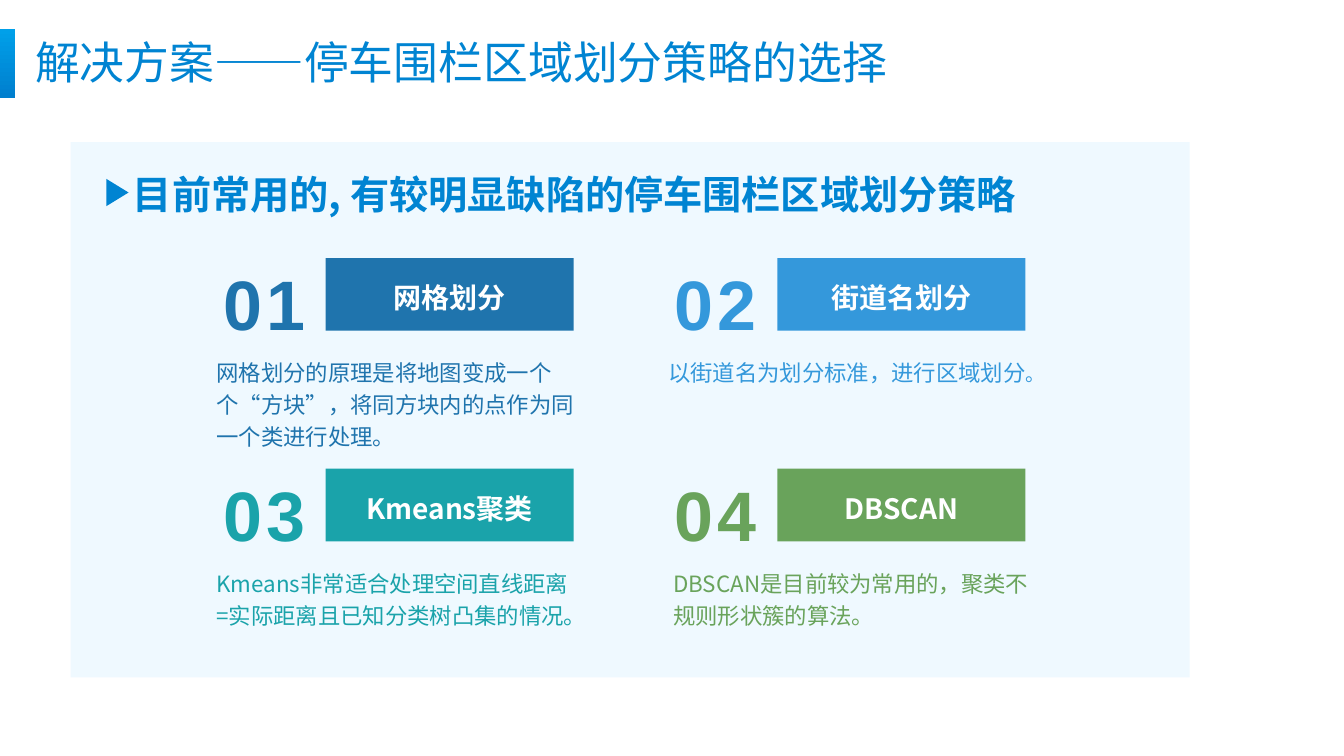
from dataclasses import dataclass
from lxml.etree import SubElement
from pptx import Presentation
from pptx.dml.color import RGBColor
from pptx.enum.shapes import MSO_SHAPE
from pptx.enum.text import MSO_ANCHOR, MSO_AUTO_SIZE, PP_ALIGN
from pptx.oxml.ns import qn
from pptx.util import Pt

SCALE = 9144


@dataclass(frozen=True)
class Theme:
    sans: str = "Noto Sans CJK SC"
    digit: str = "Arial"
    main: str = "0084D2"
    panel: str = "EFF9FF"
    white: str = "FFFFFF"
    fade: tuple = ("00A0E9", "007FCE")
    tints: tuple = ("1F74AD", "3498DB", "1AA3AA", "69A35B")
    title: int = 32
    head: int = 28
    label: int = 20
    number: int = 50
    note: int = 16
    stop: int = 14


THEME = Theme()
LEFT, TOP = 205, 256
STEP, PITCH = 448, 209
CARDS = (
    ("网格划分", "网格划分的原理是将地图变成一个个“方块”，将同方块内的点作为同一个类进行处理。", 0, 382),
    ("街道名划分", "以街道名为划分标准，进行区域划分。", 0, 377),
    ("Kmeans聚类", "Kmeans非常适合处理空间直线距离=实际距离且已知分类树凸集的情况。", 0, 376),
    ("DBSCAN", "DBSCAN是目前较为常用的，聚类不规则形状簇的算法。", 5, 384),
)


def emu(*sizes):
    return [size * SCALE for size in sizes]


def style(run, size, tint, bold=False, face=THEME.sans):
    font = run.font
    font.size = Pt(size)
    font.bold = bold
    font.color.rgb = RGBColor.from_string(tint)
    font.name = face
    SubElement(run._r.get_or_add_rPr(), qn("a:ea")).set("typeface", face)


def write(shape, text, size, tint, bold=False, face=THEME.sans, lead=1.2, center=False):
    frame = shape.text_frame
    frame.word_wrap = True
    frame.text = text
    frame.vertical_anchor = MSO_ANCHOR.MIDDLE if center else MSO_ANCHOR.TOP
    para = frame.paragraphs[0]
    para.line_spacing = lead
    para.alignment = PP_ALIGN.CENTER if center else PP_ALIGN.LEFT
    style(para.runs[0], size, tint, bold, face)
    return para


def add_text(slide, box, *args, **opts):
    shape = slide.shapes.add_textbox(*emu(*box))
    return write(shape, *args, **opts)


def add_line(slide, box, *args, **opts):
    shape = slide.shapes.add_textbox(*emu(*box))
    write(shape, *args, **opts)
    shape.text_frame.auto_size = MSO_AUTO_SIZE.SHAPE_TO_FIT_TEXT


def add_block(slide, kind, box, tint):
    shape = slide.shapes.add_shape(kind, *emu(*box))
    shape.shadow.inherit = False
    shape.line.fill.background()
    shape.fill.solid()
    shape.fill.fore_color.rgb = RGBColor.from_string(tint)
    return shape


def add_accent(slide):
    fill = add_block(slide, MSO_SHAPE.RECTANGLE, (0, 29, 15, 68), THEME.main).fill
    fill.gradient()
    fill.gradient_angle = 270
    for place, (stop, tint) in enumerate(zip(fill.gradient_stops, THEME.fade)):
        stop.position = place
        stop.color.rgb = RGBColor.from_string(tint)


def add_card(slide, index, label, note, shift, width):
    row, col = divmod(index, 2)
    left, top = LEFT + col * STEP, TOP + row * PITCH
    tint = THEME.tints[index]
    bar = add_block(slide, MSO_SHAPE.RECTANGLE, (left + 118, top, 246, 72), tint)
    write(bar, label, THEME.label, THEME.white, bold=True, center=True)
    digits = add_text(slide, (left, top - 17, 114, 106), f"{index + 1:02}",
                      THEME.number, tint, bold=True, face=THEME.digit, center=True)
    digits.runs[0]._r.get_or_add_rPr().set("spc", "300")
    return add_text(slide, (left + shift, top + 90, width, 84), note, THEME.note, tint)


def trim_stop(para):
    run = para.runs[0]
    run.text = run.text[:-1]
    stop = para.add_run()
    stop.text = "。"
    style(stop, THEME.stop, THEME.tints[1])


def main():
    deck = Presentation()
    deck.slide_width, deck.slide_height = emu(1333, 750)
    slide = deck.slides.add_slide(deck.slide_layouts[6])
    add_line(slide, (25, 30, 875, 64), "解决方案——停车围栏区域划分策略的选择",
             THEME.title, THEME.main, lead=1.0)
    add_accent(slide)
    panel = add_block(slide, MSO_SHAPE.ROUND_1_RECTANGLE, (70, 141, 1110, 531), THEME.panel)
    panel.adjustments[0] = 0
    add_line(slide, (122, 141, 1033, 72), "目前常用的, 有较明显缺陷的停车围栏区域划分策略",
             THEME.head, THEME.main, bold=True, lead=1.5)
    arrow = add_block(slide, MSO_SHAPE.ISOSCELES_TRIANGLE, (103, 180, 27, 22), THEME.main)
    arrow.rotation = 90
    notes = [add_card(slide, index, *card) for index, card in enumerate(CARDS)]
    trim_stop(notes[1])
    deck.save("out.pptx")


if __name__ == "__main__":
    main()
